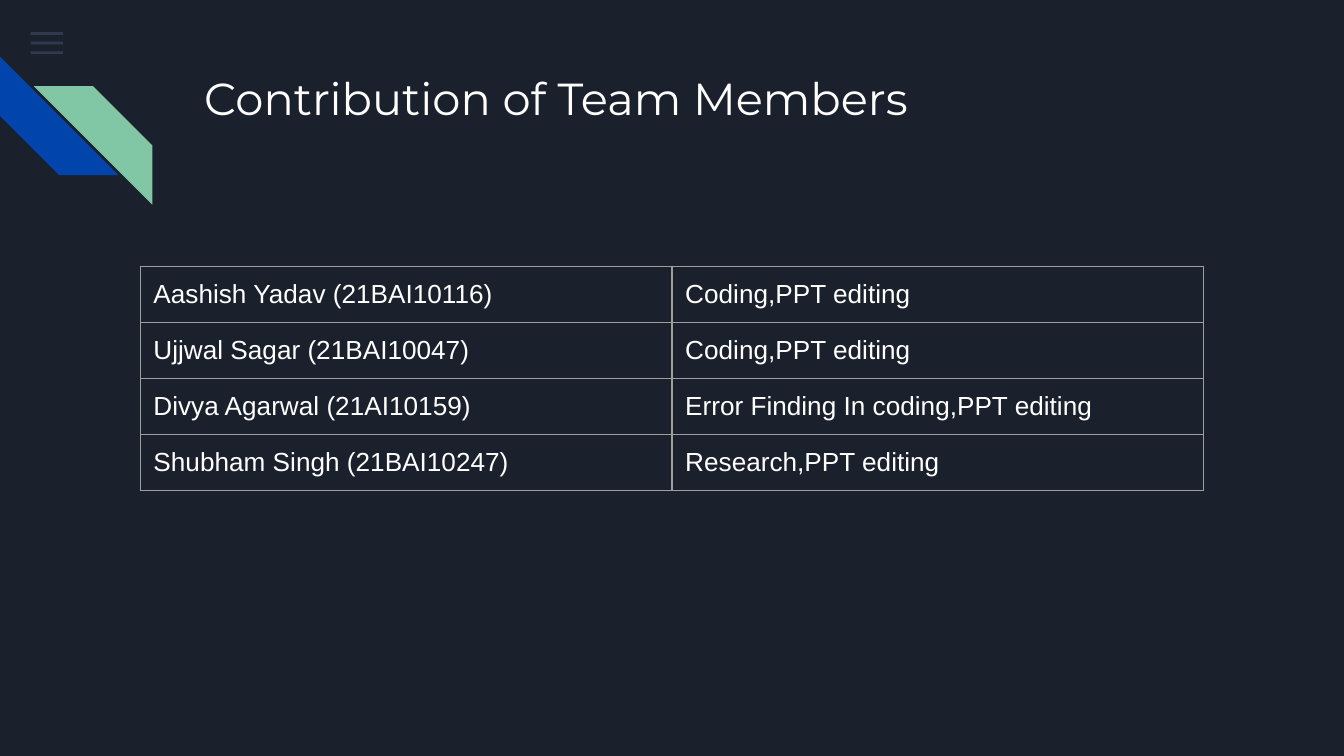
from dataclasses import dataclass

from lxml.etree import SubElement
from pptx import Presentation
from pptx.dml.color import RGBColor
from pptx.enum.shapes import MSO_SHAPE as Preset
from pptx.enum.text import MSO_ANCHOR as Anchor, PP_ALIGN as Align
from pptx.oxml import parse_xml
from pptx.oxml.ns import nsdecls, qn
from pptx.util import Cm, Pt

COLORS = {
    "background": "1B212C",
    "menu": "55688B",
    "blue": "0145AC",
    "green": "82C7A5",
    "border": "9E9E9E",
    "text": "FFFFFF",
}
INSET = Cm(0.25)


@dataclass
class Decoration:
    preset: Preset
    left: float
    top: float
    width: float
    height: float
    color: str
    rotation: int = 0
    opacity: int = 100


@dataclass
class Member:
    name: str
    contribution: str


DECORATIONS = [
    Decoration(Preset.RECTANGLE, 0.58, 0.61 + 0.18 * bar, 0.61, 0.05, "menu", opacity=36)
    for bar in range(3)
] + [
    Decoration(Preset.DIAGONAL_STRIPE, 0, 1.07, 2.24, 2.24, "blue", rotation=270),
    Decoration(Preset.DIAGONAL_STRIPE, 0.64, 1.63, 2.24, 2.24, "green", rotation=90),
]

MEMBERS = [
    Member("Aashish Yadav (21BAI10116)", "Coding,PPT editing"),
    Member("Ujjwal Sagar (21BAI10047)", "Coding,PPT editing"),
    Member("Divya Agarwal (21AI10159)", "Error Finding In coding,PPT editing"),
    Member("Shubham Singh (21BAI10247)", "Research,PPT editing"),
]


def color(name: str) -> RGBColor:
    return RGBColor.from_string(COLORS[name])


def write_text(frame, text: str, *, size: int, font: str, fill: str = "text") -> None:
    frame.text = text
    paragraph = frame.paragraphs[0]
    paragraph.alignment = Align.LEFT
    run_font = paragraph.runs[0].font
    run_font.size = Pt(size)
    run_font.name = font
    run_font.color.rgb = color(fill)


def set_insets(target) -> None:
    target.margin_left = target.margin_right = INSET
    target.margin_top = target.margin_bottom = INSET
    target.vertical_anchor = Anchor.TOP


def draw_decoration(slide, item: Decoration) -> None:
    shape = slide.shapes.add_shape(
        item.preset, Cm(item.left), Cm(item.top), Cm(item.width), Cm(item.height)
    )
    shape.rotation = item.rotation
    shape.shadow.inherit = False
    shape.line.fill.background()
    shape.fill.solid()
    shape.fill.fore_color.rgb = color(item.color)
    if item.opacity < 100:
        fill_color = shape._element.spPr.find(".//" + qn("a:srgbClr"))
        SubElement(fill_color, qn("a:alpha"), val=str(item.opacity * 1000))


def add_borders(cell) -> None:
    properties = cell._tc.get_or_add_tcPr()
    for index, side in enumerate(("lnL", "lnR", "lnT", "lnB")):
        properties.insert(index, parse_xml(
            f'<a:{side} {nsdecls("a")} w="{Pt(0.75)}"><a:solidFill>'
            f'<a:srgbClr val="{COLORS["border"]}"/></a:solidFill></a:{side}>'
        ))


def draw_table(slide, members: list[Member]) -> None:
    row_height, column_width = 1.06, 10.05
    table = slide.shapes.add_table(
        len(members), 2, Cm(2.65), Cm(5.03),
        Cm(2 * column_width), Cm(row_height * len(members)),
    ).table
    table.first_row = table.horz_banding = False
    for row, member in enumerate(members):
        for column, text in enumerate((member.name, member.contribution)):
            cell = table.cell(row, column)
            write_text(cell.text_frame, text, size=14, font="Arial")
            set_insets(cell)
            cell.fill.background()
            add_borders(cell)


def draw_title(slide, text: str) -> None:
    title = slide.shapes.title
    title.left, title.top = Cm(3.61), Cm(1.09)
    title.width, title.height = Cm(19.56), Cm(2.54)
    title.text_frame.word_wrap = True
    set_insets(title.text_frame)
    write_text(title.text_frame, text, size=24, font="Montserrat")


def main() -> None:
    presentation = Presentation()
    presentation.slide_width, presentation.slide_height = Cm(25.4), Cm(14.29)
    slide = presentation.slides.add_slide(presentation.slide_layouts[5])
    slide.background.fill.solid()
    slide.background.fill.fore_color.rgb = color("background")
    for decoration in DECORATIONS:
        draw_decoration(slide, decoration)
    draw_title(slide, "Contribution of Team Members")
    draw_table(slide, MEMBERS)
    presentation.save("out.pptx")


if __name__ == "__main__":
    main()
